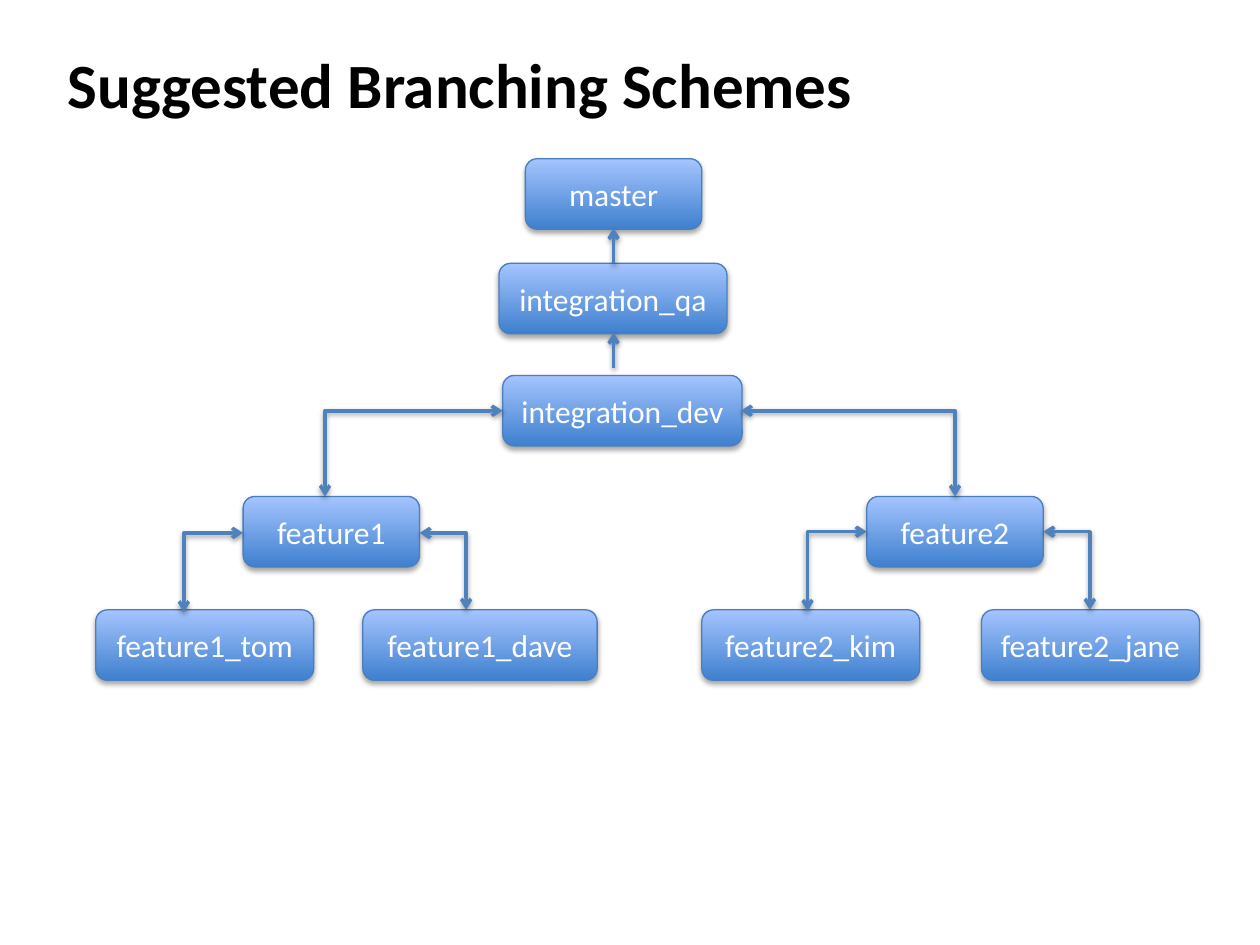
from pptx import Presentation
from pptx.dml.color import RGBColor
from pptx.enum.shapes import MSO_CONNECTOR, MSO_SHAPE
from pptx.enum.text import MSO_ANCHOR, PP_ALIGN
from pptx.oxml import parse_xml
from pptx.oxml.ns import nsdecls, qn
from pptx.util import Inches, Pt


def color(hex_string):
    """Return the colour for a hex string."""
    return RGBColor.from_string(hex_string)


def add_shadow(shape, offset, opacity):
    """Give a shape or connector a soft shadow straight below it."""
    properties = shape.element.spPr
    for effects in properties.findall(qn("a:effectLst")):
        properties.remove(effects)
    properties.append(parse_xml(
        f'<a:effectLst {nsdecls("a")}><a:outerShdw blurRad="{Pt(3.1)}" '
        f'dist="{Pt(offset)}" dir="5400000" rotWithShape="0">'
        f'<a:srgbClr val="000000"><a:alpha val="{opacity * 1000}"/></a:srgbClr>'
        '</a:outerShdw></a:effectLst>'))


presentation = Presentation()
presentation.slide_width = Inches(10)
presentation.slide_height = Inches(7.5)
slide = presentation.slides.add_slide(presentation.slide_layouts[6])

title = slide.shapes.add_textbox(Inches(0.44), Inches(0.31), Inches(8.96), Inches(0.75))
title.text_frame.word_wrap = True
title.text_frame.text = "Suggested Branching Schemes"
title_font = title.text_frame.paragraphs[0].runs[0].font
title_font.name = "Calibri"
title_font.size = Pt(36)
title_font.bold = True
title_font.color.rgb = color("000000")

# Branch name, left, top, width
BOX_HEIGHT = 0.56
branches = [
    ("master", 4.17, 1.26, 1.4),
    ("integration_qa", 3.96, 2.09, 1.81),
    ("integration_dev", 3.99, 2.98, 1.9),
    ("feature1", 1.93, 3.94, 1.4),
    ("feature2", 6.88, 3.94, 1.4),
    ("feature1_tom", 0.76, 4.84, 1.73),
    ("feature1_dave", 2.88, 4.84, 1.86),
    ("feature2_kim", 5.57, 4.84, 1.73),
    ("feature2_jane", 7.79, 4.84, 1.73),
]
for name, left, top, width in branches:
    box = slide.shapes.add_shape(MSO_SHAPE.ROUNDED_RECTANGLE, Inches(left), Inches(top),
                                 Inches(width), Inches(BOX_HEIGHT))
    box.fill.gradient()
    box.fill.gradient_angle = 90
    for stop, shade in zip(box.fill.gradient_stops, ("3F80CE", "A4C4FF")):
        stop.color.rgb = color(shade)
    box.line.color.rgb = color("4B7EBC")
    box.line.width = Pt(0.75)
    box.shadow.inherit = False
    add_shadow(box, 1.8, 35)
    box.text_frame.text = name
    box.text_frame.vertical_anchor = MSO_ANCHOR.MIDDLE
    paragraph = box.text_frame.paragraphs[0]
    paragraph.alignment = PP_ALIGN.CENTER
    font = paragraph.runs[0].font
    font.name = "Calibri"
    font.size = Pt(18)
    font.color.rgb = color("FFFFFF")

# Start x, start y, end x, end y; vertical arrows point one way, bent ones both ways
arrows = [
    (4.87, 2.09, 4.87, 1.81),
    (4.87, 2.92, 4.87, 2.64),
    (5.88, 3.26, 7.58, 3.94),
    (8.28, 4.22, 8.65, 4.84),
    (6.88, 4.22, 6.41, 4.85),
    (1.93, 4.23, 1.46, 4.86),
    (3.33, 4.23, 3.7, 4.84),
    (3.99, 3.26, 2.58, 3.94),
]
for start_x, start_y, end_x, end_y in arrows:
    bent = start_x != end_x
    connector = slide.shapes.add_connector(
        MSO_CONNECTOR.ELBOW if bent else MSO_CONNECTOR.STRAIGHT,
        Inches(start_x), Inches(start_y), Inches(end_x), Inches(end_y))
    connector.line.color.rgb = color("4F81BD")
    connector.line.width = Pt(2)
    line = connector.element.spPr.find(qn("a:ln"))
    if bent:
        connector.element.spPr.find(qn("a:prstGeom")).set("prst", "bentConnector2")
    for end in ("headEnd", "tailEnd") if bent else ("tailEnd",):
        line.append(parse_xml(f'<a:{end} {nsdecls("a")} type="arrow"/>'))
    add_shadow(connector, 1.6, 38)

presentation.save("out.pptx")
